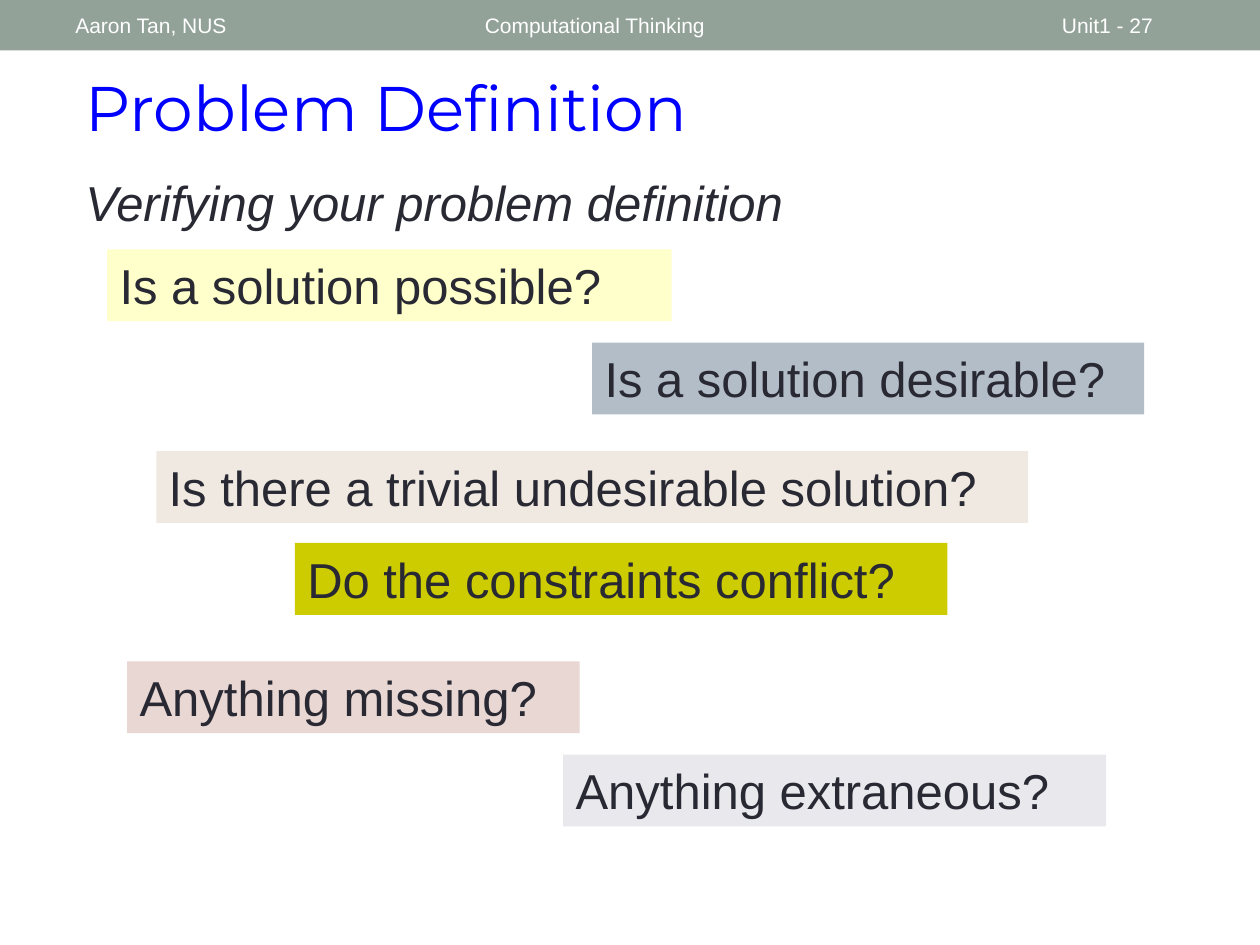
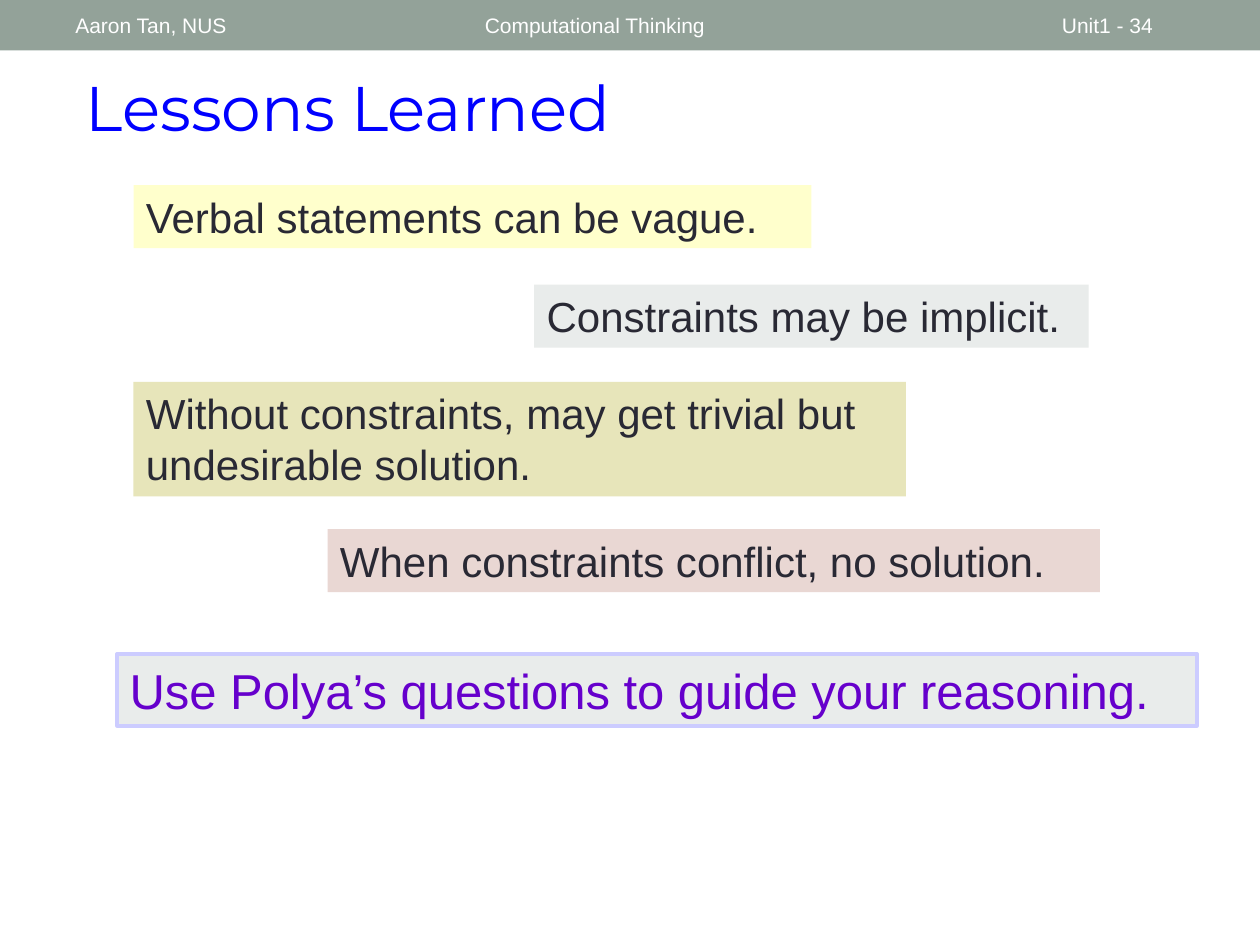
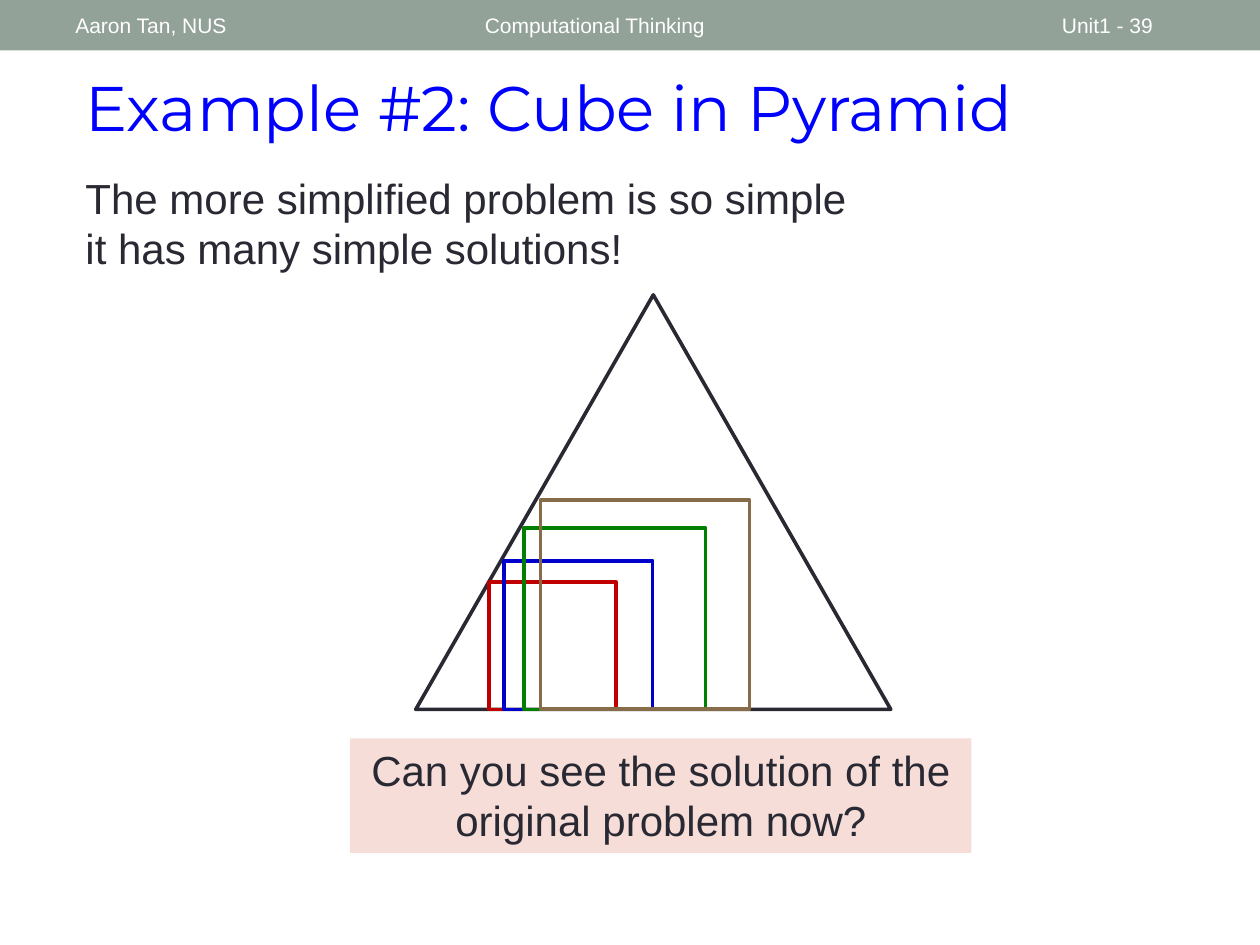
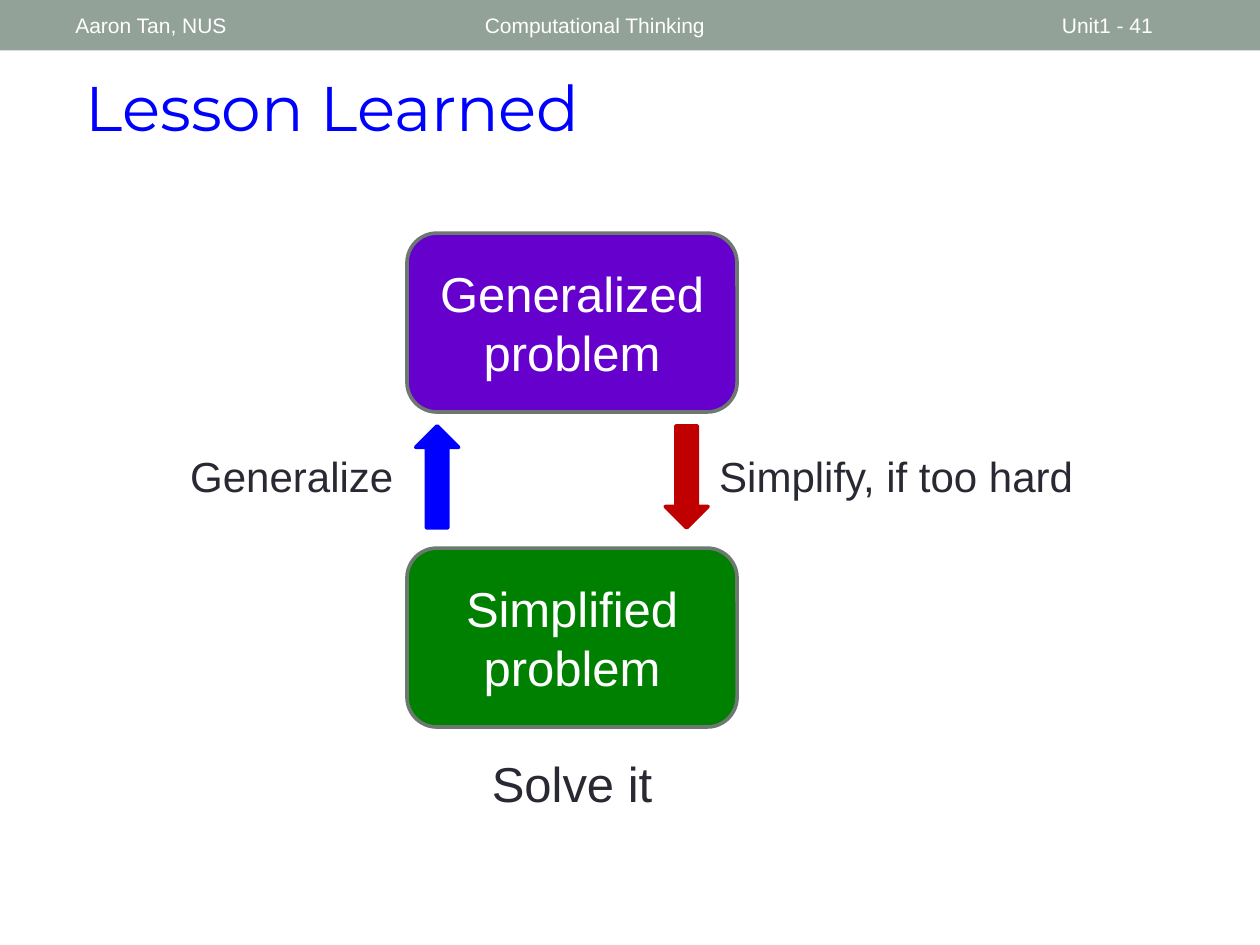
"""Build four lecture slides on problem definition and problem solving."""
import pptx
import pptx.dml.color
import pptx.enum.shapes
import pptx.enum.text
import pptx.util

Inches = pptx.util.Inches
Pt = pptx.util.Pt
RGBColor = pptx.dml.color.RGBColor
SHAPE = pptx.enum.shapes.MSO_SHAPE
ALIGN = pptx.enum.text.PP_ALIGN
ANCHOR = pptx.enum.text.MSO_ANCHOR
FIT = pptx.enum.text.MSO_AUTO_SIZE

INK = RGBColor(0x29, 0x29, 0x34)
WHITE = RGBColor(0xFF, 0xFF, 0xFF)
BAND = RGBColor(0x93, 0xA2, 0x99)
BLUE = RGBColor(0x00, 0x00, 0xFF)
NAVY = RGBColor(0x00, 0x00, 0xCC)
RED = RGBColor(0xC0, 0x00, 0x00)
GREEN = RGBColor(0x00, 0x80, 0x00)
BROWN = RGBColor(0x86, 0x6C, 0x49)
PURPLE = RGBColor(0x66, 0x00, 0xCC)
OUTLINE = RGBColor(0x6D, 0x78, 0x71)
LAVENDER = RGBColor(0xCC, 0xCC, 0xFF)
YELLOW = RGBColor(0xFF, 0xFF, 0xCC)
STEEL = RGBColor(0xB3, 0xBD, 0xC8)
SAND = RGBColor(0xEF, 0xE9, 0xE1)
OLIVE = RGBColor(0xCC, 0xCC, 0x00)
ROSE = RGBColor(0xE9, 0xD7, 0xD3)
MIST = RGBColor(0xE8, 0xE8, 0xED)
PALE_GREEN = RGBColor(0xE9, 0xEC, 0xEB)
KHAKI = RGBColor(0xE7, 0xE5, 0xBA)
BLUSH = RGBColor(0xF6, 0xDD, 0xD8)

BODY_FONT = "Arial"
TITLE_FONT = "Montserrat"
LINE_WIDTH = 2.08
TITLE_AREA = (0.58, 0.49, 8.49, 0.71)
BAND_AREA = (0, 0, 10, 0.4)
HEADER_TOP, HEADER_HEIGHT = 0.02, 0.36
LINE_HEIGHT = {24: 0.5, 28: 0.57}

QUESTIONS = [
    ("Is a solution possible?", 0.85, 1.98, 4.48, YELLOW),
    ("Is a solution desirable?", 4.7, 2.72, 4.38, STEEL),
    ("Is there a trivial undesirable solution?", 1.24, 3.58, 6.92, SAND),
    ("Do the constraints conflict?", 2.34, 4.31, 5.18, OLIVE),
    ("Anything missing?", 1.01, 5.25, 3.59, ROSE),
    ("Anything extraneous?", 4.47, 5.99, 4.31, MIST),
]
LESSONS = [
    ("Verbal statements can be vague.", (1.06, 1.47, 5.38, 0.5), YELLOW),
    ("Constraints may be implicit.", (4.24, 2.26, 4.4, 0.5), PALE_GREEN),
    ("Without constraints, may get trivial but undesirable solution.",
     (1.06, 3.03, 6.13, 0.91), KHAKI),
    ("When constraints conflict, no solution.", (2.6, 4.2, 6.13, 0.5), ROSE),
]
TRIANGLE = (3.3, 2.34, 3.77, 3.29)
SQUARES = [(3.88, 1.01, RED), (4, 1.18, NAVY), (4.16, 1.44, GREEN), (4.29, 1.66, BROWN)]
PROBLEMS = [("Generalized problem", 1.85, PURPLE), ("Simplified problem", 4.35, GREEN)]
PROBLEM_LEFT, PROBLEM_WIDTH, PROBLEM_HEIGHT = 3.23, 2.62, 1.42
ARROWS = [(SHAPE.DOWN_ARROW, 5.28, RED), (SHAPE.UP_ARROW, 3.3, BLUE)]
STEPS = [
    ("Simplify, if too hard", (5.61, 3.53, 3.18, 0.5), 24, ALIGN.LEFT),
    ("Generalize", (1.16, 3.53, 2.06, 0.5), 24, ALIGN.RIGHT),
    ("Solve it", (PROBLEM_LEFT, 5.93, PROBLEM_WIDTH, 0.57), 28, ALIGN.CENTER),
]


def inches(area):
    return [Inches(length) for length in area]


def write(box, text, size, color=INK, align=ALIGN.LEFT, anchor=ANCHOR.TOP,
          font=BODY_FONT, italic=None, grow=True):
    frame = box.text_frame
    frame.word_wrap = True
    frame.auto_size = FIT.SHAPE_TO_FIT_TEXT if grow else FIT.NONE
    frame.vertical_anchor = anchor
    para = frame.paragraphs[0]
    para.alignment = align
    span = para.add_run()
    span.text = text
    span.font.size = Pt(size)
    span.font.name = font
    span.font.italic = italic
    span.font.color.rgb = color


def add_text(page, area, text, size, **style):
    write(page.shapes.add_textbox(*inches(area)), text, size, **style)


def add_box(page, kind, area, fill=None, line=None, width=LINE_WIDTH):
    box = page.shapes.add_shape(kind, *inches(area))
    box.shadow.inherit = False
    if fill is None:
        box.fill.background()
    else:
        box.fill.solid()
        box.fill.fore_color.rgb = fill
    if line is None:
        box.line.fill.background()
    else:
        box.line.color.rgb = line
        box.line.width = Pt(width)
    return box


def add_card(page, area, text, size, fill, **style):
    write(add_box(page, SHAPE.RECTANGLE, area, fill), text, size, **style)


def add_page(deck, title, number):
    page = deck.slides.add_slide(deck.slide_layouts[5])
    heading = page.shapes.title
    heading.left, heading.top, heading.width, heading.height = inches(TITLE_AREA)
    write(heading, title, 36, BLUE, font=TITLE_FONT)
    header = [("Computational Thinking", 3.75, 4.5),
              (f"Unit1 - {number}", 8.33, 1.17),
              ("Aaron Tan, NUS", 0.5, 3.17)]
    for text, left, width in header:
        add_text(page, (left, HEADER_TOP, width, HEADER_HEIGHT), text, 12,
                 color=WHITE, anchor=ANCHOR.MIDDLE, grow=False)
    return page


def share_band(deck, page):
    band = add_box(page, SHAPE.RECTANGLE, BAND_AREA, BAND)
    deck.slide_master.shapes.element.insert(2, band.element)


def fill_definition(page):
    add_text(page, (0.58, 1.32, 7.67, 0.57), "Verifying your problem definition",
             28, italic=True)
    for text, left, top, width, fill in QUESTIONS:
        add_card(page, (left, top, width, LINE_HEIGHT[28]), text, 28, fill)


def fill_lessons(page):
    for text, area, fill in LESSONS:
        add_card(page, area, text, 24, fill)
    advice = add_box(page, SHAPE.RECTANGLE, (0.93, 5.19, 8.57, 0.57),
                     PALE_GREEN, LAVENDER, 2.25)
    write(advice, "Use Polya’s questions to guide your reasoning.", 28, PURPLE)


def fill_pyramid(page):
    add_text(page, (0.58, 1.32, 6.25, 0.91),
             "The more simplified problem is so simple it has many simple solutions!", 24)
    add_box(page, SHAPE.ISOSCELES_TRIANGLE, TRIANGLE, line=INK)
    base = TRIANGLE[1] + TRIANGLE[3]
    for left, side, color in SQUARES:
        add_box(page, SHAPE.RECTANGLE, (left, base - side, side, side), line=color)
    add_card(page, (2.78, 5.86, 4.93, 0.91),
             "Can you see the solution of the original problem now?", 24, BLUSH,
             align=ALIGN.CENTER)


def fill_cycle(page):
    for text, top, fill in PROBLEMS:
        area = (PROBLEM_LEFT, top, PROBLEM_WIDTH, PROBLEM_HEIGHT)
        problem = add_box(page, SHAPE.ROUNDED_RECTANGLE, area, fill, OUTLINE)
        write(problem, text, 28, WHITE, ALIGN.CENTER, ANCHOR.MIDDLE, grow=False)
    for kind, left, color in ARROWS:
        add_box(page, kind, (left, 3.38, 0.34, 0.81), color, color)
    for text, area, size, align in STEPS:
        add_text(page, area, text, size, align=align)


PAGES = [
    ("Problem Definition", 27, fill_definition),
    ("Lessons Learned", 34, fill_lessons),
    ("Example #2: Cube in Pyramid", 39, fill_pyramid),
    ("Lesson Learned", 41, fill_cycle),
]


def main():
    deck = pptx.Presentation()
    deck.slide_width, deck.slide_height = Inches(10), Inches(7.5)
    for title, number, fill_page in PAGES:
        fill_page(add_page(deck, title, number))
    share_band(deck, deck.slides[0])
    deck.save("out.pptx")


if __name__ == "__main__":
    main()
